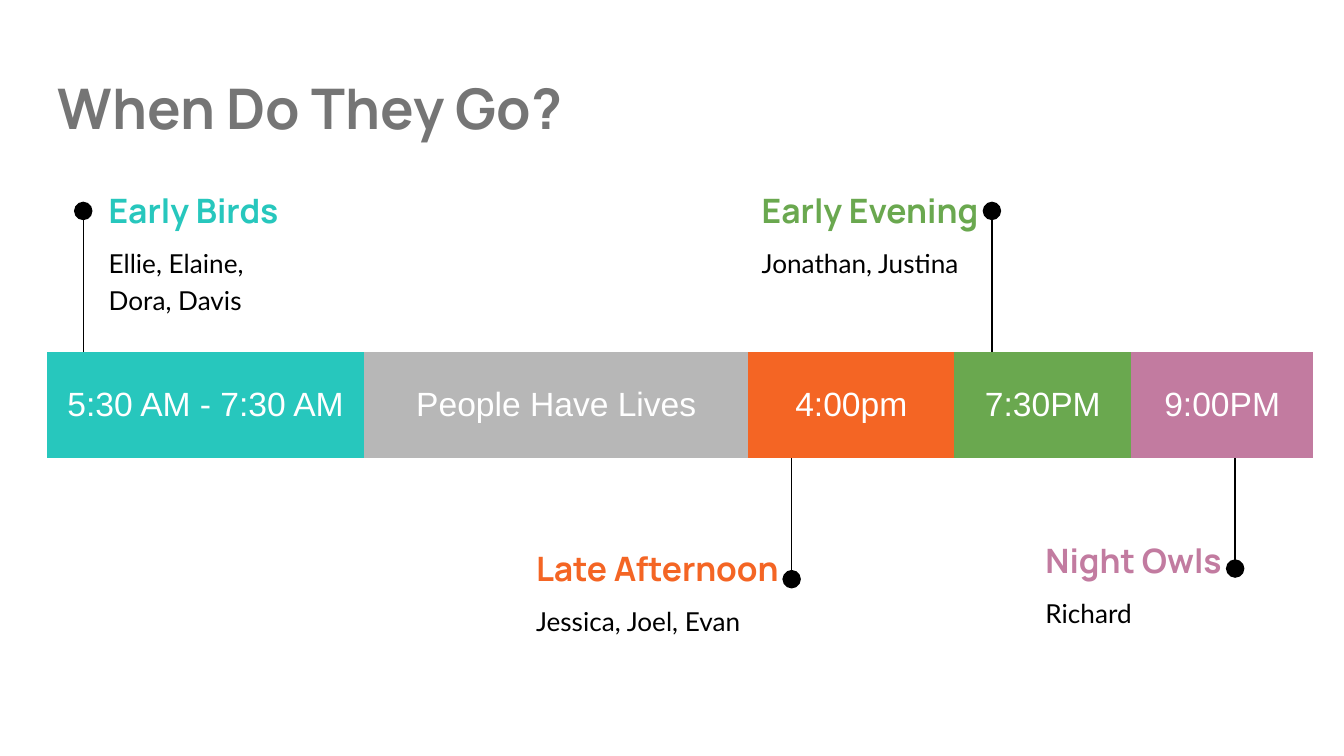
from dataclasses import dataclass

import lxml.etree
import pptx
import pptx.dml.color
import pptx.enum.shapes
import pptx.enum.text
import pptx.oxml.ns
import pptx.slide
import pptx.util

Pt = pptx.util.Pt
ANCHOR = pptx.enum.text.MSO_ANCHOR

COLORS = {
    "teal": "27C7BD",
    "gray": "B7B7B7",
    "orange": "F46524",
    "green": "6AA84F",
    "mauve": "C27BA0",
    "title": "757575",
    "black": "000000",
    "white": "FFFFFF",
}
NO_STYLE_TABLE = "{2D5ABB26-0587-4C30-8999-92F81FD0307C}"
BAR_LEFT, BAR_TOP, BAR_HEIGHT = 25.2, 188.6, 56.9
INSET = 7.2
HEADING_HEIGHT, NAMES_HEIGHT, NAMES_OFFSET = 31, 45.4, 25.9


@dataclass
class Period:
    label: str
    width: float
    color: str


@dataclass
class Group:
    heading: str
    names: str
    color: str
    left: float
    top: float
    heading_width: float
    names_width: float
    pin_x: float
    pin_start: float
    pin_end: float


PERIODS = [
    Period("5:30 AM - 7:30 AM", 169.9, "teal"),
    Period("People Have Lives", 205.9, "gray"),
    Period("4:00pm", 110.2, "orange"),
    Period("7:30PM", 95, "green"),
    Period("9:00PM", 97.2, "mauve"),
]
GROUPS = [
    Group("Early Birds", "Ellie, Elaine, Dora, Davis", "teal",
          51.1, 97.2, 182.2, 108.7, 44.6, BAR_TOP, 113),
    Group("Late Afternoon", "Jessica, Joel, Evan", "orange",
          280.1, 288.7, 182.2, 182.2, 424.1, 244.8, 310.3),
    Group("Early Evening", "Jonathan, Justina", "green",
          401, 97.2, 185, 185, 531.4, BAR_TOP, 113),
    Group("Night Owls", "Richard", "mauve",
          553, 284.4, 185, 185, 661.7, 239, 304.6),
]


def rgb(color: str) -> pptx.dml.color.RGBColor:
    return pptx.dml.color.RGBColor.from_string(COLORS[color])


def add_run(para, text: str, font: str, size: float, color: str, bold: bool = False) -> None:
    run = para.add_run()
    run.text = text
    run.font.name = font
    run.font.size = Pt(size)
    run.font.bold = bold
    run.font.color.rgb = rgb(color)


def add_text_box(page: pptx.slide.Slide, left: float, top: float, width: float,
                 height: float, anchor=ANCHOR.TOP):
    """Add an empty wrapping box and return its first paragraph."""
    frame = page.shapes.add_textbox(Pt(left), Pt(top), Pt(width), Pt(height)).text_frame
    frame.word_wrap = True
    frame.vertical_anchor = anchor
    frame.margin_left = frame.margin_right = Pt(INSET)
    frame.margin_top = frame.margin_bottom = Pt(INSET)
    return frame.paragraphs[0]


def add_pin(page: pptx.slide.Slide, group: Group) -> None:
    """Draw the line from the bar to a group, ending in a round dot."""
    pin = page.shapes.add_connector(
        pptx.enum.shapes.MSO_CONNECTOR.STRAIGHT,
        Pt(group.pin_x), Pt(group.pin_start), Pt(group.pin_x), Pt(group.pin_end))
    pin.line.width = Pt(0.75)
    pin.line.color.rgb = rgb("black")
    lxml.etree.SubElement(pin.line._get_or_add_ln(), pptx.oxml.ns.qn("a:tailEnd"),
                          type="oval", w="lg", len="lg")
    lxml.etree.SubElement(pin._element.spPr, pptx.oxml.ns.qn("a:effectLst"))


def add_bar(page: pptx.slide.Slide, periods: list[Period]) -> None:
    total = sum(period.width for period in periods)
    frame = page.shapes.add_table(1, len(periods), Pt(BAR_LEFT), Pt(BAR_TOP),
                                  Pt(total), Pt(BAR_HEIGHT))
    table = frame.table
    table.first_row = table.horz_banding = False
    for style in frame._element.iter(pptx.oxml.ns.qn("a:tableStyleId")):
        style.text = NO_STYLE_TABLE
    for index, period in enumerate(periods):
        table.columns[index].width = Pt(period.width)
        cell = table.cell(0, index)
        cell.fill.solid()
        cell.fill.fore_color.rgb = rgb(period.color)
        cell.vertical_anchor = ANCHOR.MIDDLE
        cell.margin_left = cell.margin_right = Pt(INSET)
        cell.margin_top = cell.margin_bottom = Pt(INSET)
        para = cell.text_frame.paragraphs[0]
        para.alignment = pptx.enum.text.PP_ALIGN.CENTER
        add_run(para, period.label, "Arial", 18, "white")


def add_group_text(page: pptx.slide.Slide, group: Group) -> None:
    heading = add_text_box(page, group.left, group.top, group.heading_width,
                           HEADING_HEIGHT, ANCHOR.MIDDLE)
    add_run(heading, group.heading, "Manrope", 18, group.color, bold=True)
    names = add_text_box(page, group.left, group.top + NAMES_OFFSET,
                         group.names_width, NAMES_HEIGHT)
    names.line_spacing = 1.15
    names.space_after = Pt(16)
    add_run(names, group.names, "Lato", 14, "black")


def main() -> None:
    deck = pptx.Presentation()
    deck.slide_width, deck.slide_height = Pt(720), Pt(405)
    page = deck.slides.add_slide(deck.slide_layouts[6])
    title = add_text_box(page, 23.8, 32.4, 671, 50.4)
    add_run(title, "When Do They Go?", "Manrope", 30, "title", bold=True)
    for group in GROUPS:
        add_pin(page, group)
    add_bar(page, PERIODS)
    for group in GROUPS:
        add_group_text(page, group)
    deck.save("out.pptx")


if __name__ == "__main__":
    main()
